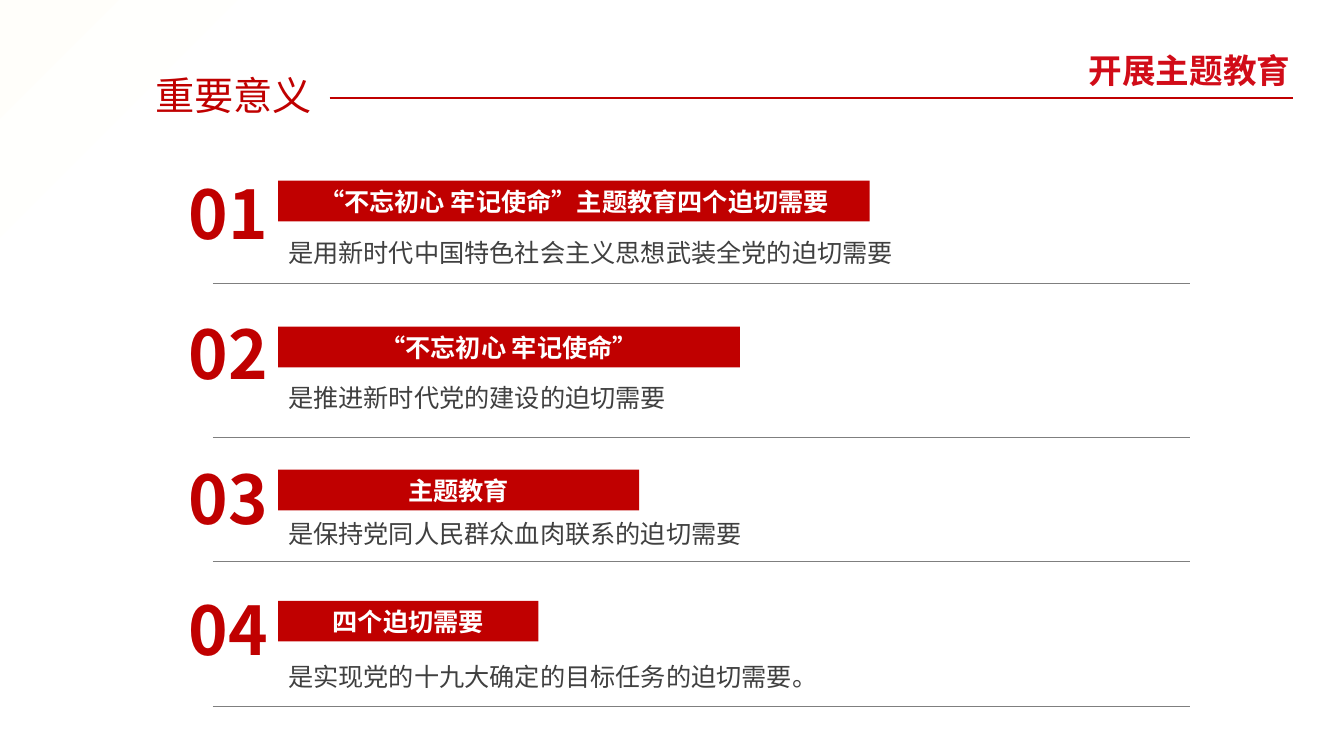
from dataclasses import dataclass
from lxml.etree import SubElement
from pptx import Presentation
from pptx.dml.color import RGBColor
from pptx.enum.shapes import MSO_CONNECTOR as Connector, MSO_SHAPE as Preset
from pptx.enum.text import MSO_ANCHOR as Anchor, PP_ALIGN as Align
from pptx.oxml import parse_xml
from pptx.oxml.ns import nsdecls, qn
from pptx.shapes.base import BaseShape
from pptx.slide import Slide
from pptx.util import Pt

FONT = "Noto Sans CJK SC"
RED = "C00000"
WIDTH, HEIGHT = 960, 540
BANNER_LEFT = 198.7


@dataclass
class Need:
    banner: str
    detail: str
    banner_width: float
    number_top: float
    banner_top: float
    detail_top: float
    rule_top: float


NEEDS = [
    Need("“不忘初心 牢记使命”主题教育四个迫切需要",
         "是用新时代中国特色社会主义思想武装全党的迫切需要",
         422.6, 119.5, 129, 159.8, 202.3),
    Need("“不忘初心 牢记使命”", "是推进新时代党的建设的迫切需要",
         329.8, 219.6, 233.3, 262.8, 312.5),
    Need("主题教育", "是保持党同人民群众血肉联系的迫切需要",
         257.8, 323.3, 335.5, 360, 401),
    Need("四个迫切需要", "是实现党的十九大确定的目标任务的迫切需要。",
         185.8, 416.9, 429.1, 462.2, 504.7),
]


def colour(value: str) -> RGBColor:
    return RGBColor.from_string(value)


def place(shape: BaseShape, left: float, top: float, width: float, height: float) -> None:
    shape.left, shape.top = Pt(left), Pt(top)
    shape.width, shape.height = Pt(width), Pt(height)


def write(shape: BaseShape, text: str, size: float, ink: str, align: Align,
          bold: bool = False, spacing: float = 1.0, anchor: Anchor = Anchor.TOP,
          wrap: bool = True) -> None:
    frame = shape.text_frame
    frame.text = text
    frame.word_wrap = wrap
    frame.vertical_anchor = anchor
    para = frame.paragraphs[0]
    para.alignment = align
    para.line_spacing = spacing
    para.space_before = Pt(0)
    font = para.font
    font.size, font.bold, font.name = Pt(size), bold, FONT
    font.color.rgb = colour(ink)
    properties = para._p.pPr.find(qn("a:defRPr"))
    SubElement(properties, qn("a:ea")).set("typeface", FONT)


def add_text(page: Slide, left: float, top: float, width: float, height: float,
             text: str, size: float, ink: str, align: Align, bold: bool = False,
             spacing: float = 1.0, wrap: bool = True) -> None:
    box = page.shapes.add_textbox(Pt(left), Pt(top), Pt(width), Pt(height))
    write(box, text, size, ink, align, bold, spacing, wrap=wrap)


def add_block(page: Slide, left: float, top: float, width: float, height: float,
              fill: str) -> BaseShape:
    block = page.shapes.add_shape(Preset.RECTANGLE, Pt(left), Pt(top), Pt(width), Pt(height))
    block.shadow.inherit = False
    block.fill.solid()
    block.fill.fore_color.rgb = colour(fill)
    block.line.fill.background()
    return block


def add_rule(page: Slide, left: float, right: float, top: float, ink: str,
             weight: float) -> None:
    rule = page.shapes.add_connector(Connector.STRAIGHT, Pt(left), Pt(top), Pt(right), Pt(top))
    rule.line.color.rgb = colour(ink)
    rule.line.width = Pt(weight)
    SubElement(rule._element.spPr, qn("a:effectLst"))


def add_backdrop(page: Slide) -> None:
    backdrop = add_block(page, 0, 0, WIDTH, HEIGHT, "FFFFFF")
    stops = "".join(
        f'<a:gs pos="{position}"><a:srgbClr val="{value}"/></a:gs>'
        for position, value in ((0, "FFFFFF"), (83000, "FFFFFF"), (100000, "FFFEFA")))
    gradient = parse_xml(
        f'<a:gradFill {nsdecls("a")} rotWithShape="1"><a:gsLst>{stops}</a:gsLst>'
        '<a:path path="circle"><a:fillToRect l="100000" t="100000"/></a:path></a:gradFill>')
    properties = backdrop._element.spPr
    properties.replace(properties.find(qn("a:solidFill")), gradient)
    tree = backdrop._element.getparent()
    tree.insert(2, backdrop._element)


def add_need(page: Slide, number: int, need: Need) -> None:
    banner = add_block(page, BANNER_LEFT, need.banner_top, need.banner_width, 29.1, RED)
    write(banner, need.banner, 18, "FFFFFF", Align.CENTER, bold=True, anchor=Anchor.MIDDLE)
    add_text(page, BANNER_LEFT, need.detail_top, 637, 33, need.detail, 18, "404040",
             Align.JUSTIFY, spacing=1.3)
    add_text(page, 64.1, need.number_top, 134.6, 65.5, f"{number:02}", 48, RED,
             Align.RIGHT, bold=True)
    add_rule(page, 152, 849.8, need.rule_top, "7F7F7F", 0.5)


def main() -> None:
    deck = Presentation()
    deck.slide_width, deck.slide_height = Pt(WIDTH), Pt(HEIGHT)
    page = deck.slides.add_slide(deck.slide_layouts.get_by_name("Title Only"))
    add_backdrop(page)
    title = page.shapes.title
    place(title, 103.7, 43.9, 234.7, 42.5)
    write(title, "重要意义", 28, RED, Align.LEFT, spacing=1.1)
    add_text(page, 769, 32.4, 159.8, 36, "开展主题教育", 24, "D10C18", Align.RIGHT,
             bold=True, wrap=False)
    add_rule(page, 235.4, 923.8, 70.3, RED, 1.5)
    for number, need in enumerate(NEEDS, 1):
        add_need(page, number, need)
    deck.save("out.pptx")


if __name__ == "__main__":
    main()
